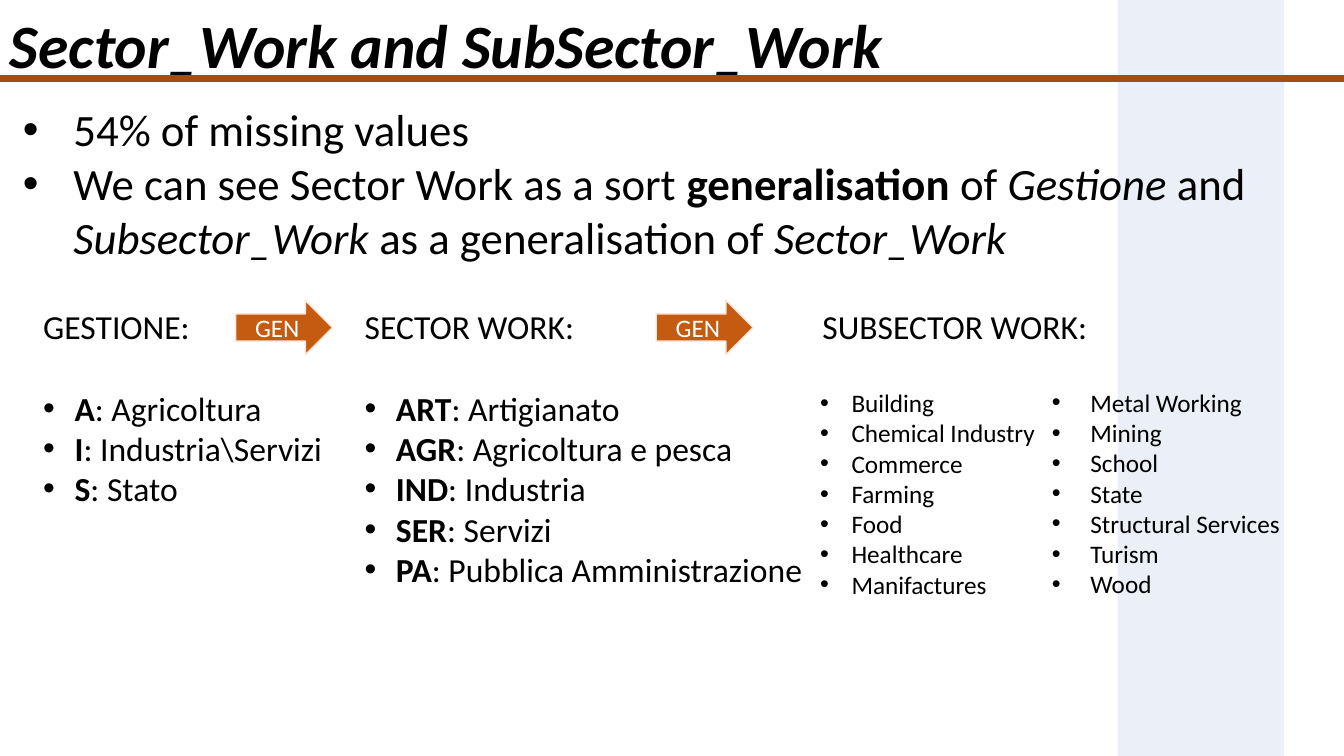
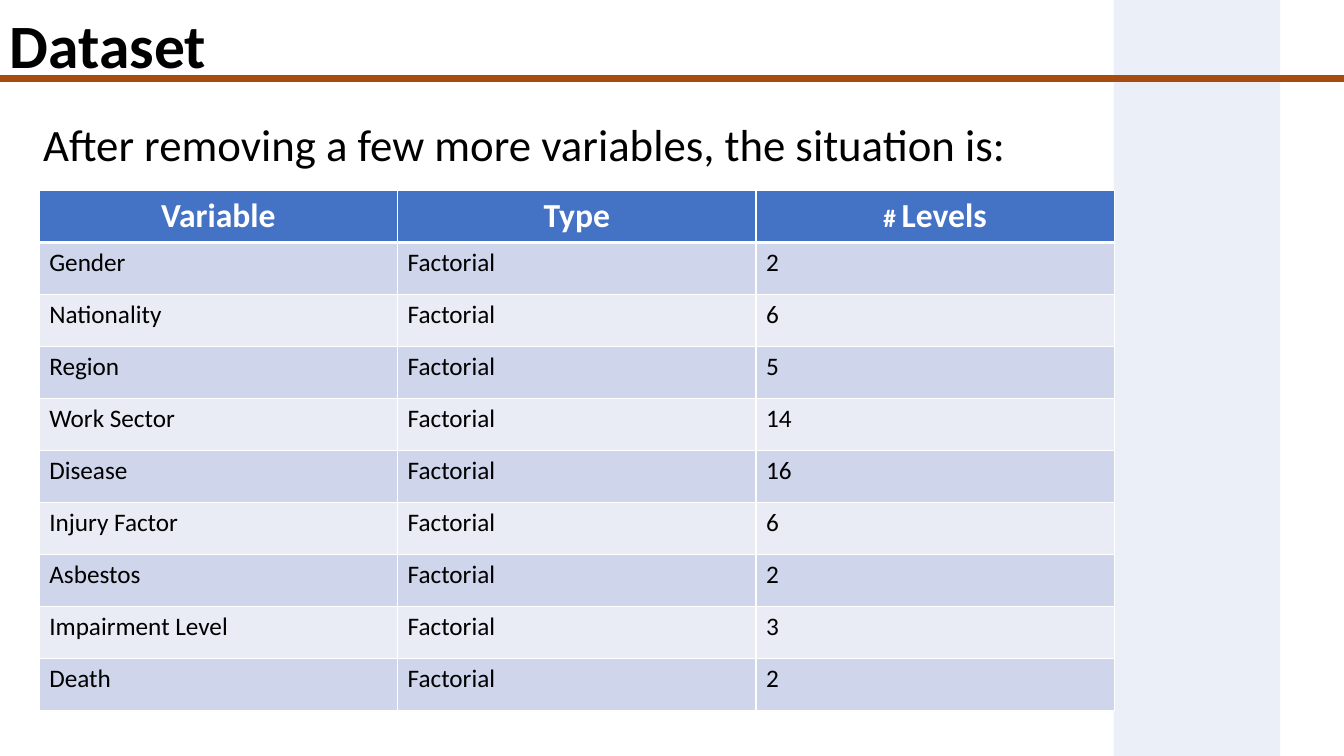
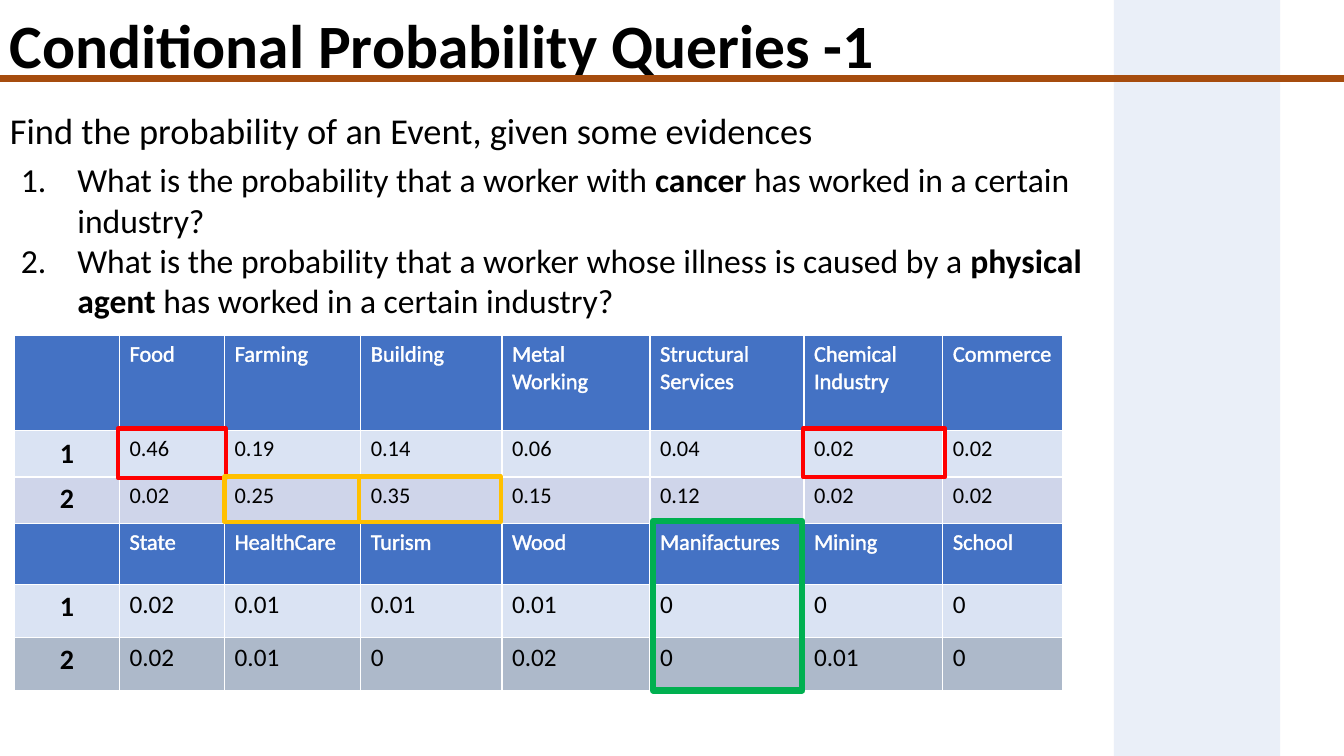
from dataclasses import dataclass
from lxml.etree import SubElement as Sub, Element
from pptx import Presentation
from pptx.dml.color import RGBColor as Rgb
from pptx.enum.shapes import MSO_CONNECTOR as Conn, MSO_SHAPE as Form
from pptx.enum.text import MSO_ANCHOR as Anchor, PP_ALIGN as Align
from pptx.oxml.ns import qn
from pptx.util import Cm, Pt


@dataclass(frozen=True)
class Theme:
    font: str = "Calibri"
    black: str = "000000"
    white: str = "FFFFFF"
    band: str = "B4C7E7"
    rule: str = "A64C0E"
    arrow: str = "C55A11"
    edge: str = "FBE5D6"
    head: str = "4472C4"
    dark: str = "CFD5EA"
    light: str = "E9EBF5"
    pale: str = "DAE3F3"
    slate: str = "ADB9CA"
    red: str = "FF0000"
    gold: str = "FFC000"
    green: str = "00B050"
    title: int = 44
    lead: int = 32
    intro: int = 26
    body: int = 24
    key: int = 20
    small: int = 18
    tiny: int = 16


T = Theme()
WIDE, HIGH = 33.87, 19.05


def color(code):
    return Rgb.from_string(code)


def outline(run):
    line = Element(qn("a:ln"), w=str(Pt(0.75)))
    fill = Sub(line, qn("a:solidFill"))
    Sub(fill, qn("a:srgbClr"), val=T.white)
    run._r.get_or_add_rPr().insert(0, line)


def write(par, parts, size, ink=T.black, bold=False, align=Align.LEFT):
    par.alignment = align
    for text, mark in [(parts, "")] if isinstance(parts, str) else parts:
        run = par.add_run()
        run.text = text
        font = run.font
        font.name = T.font
        font.size = Pt(T.small if "s" in mark else size)
        font.bold = bold or "b" in mark
        font.italic = "i" in mark
        font.color.rgb = color(ink)
        if "o" in mark:
            outline(run)


def bullet(par, indent, number=False):
    props = par._p.get_or_add_pPr()
    props.set("marL", str(Cm(indent)))
    props.set("indent", str(-Cm(indent)))
    if number:
        Sub(props, qn("a:buAutoNum"), type="arabicPeriod")
    else:
        Sub(props, qn("a:buFont"), typeface="Arial")
        Sub(props, qn("a:buChar"), char="•")


def add_box(slide, x, y, w, h):
    frame = slide.shapes.add_textbox(Cm(x), Cm(y), Cm(w), Cm(h)).text_frame
    frame.word_wrap = True
    return frame


def add_text(slide, area, text, size):
    frame = add_box(slide, *area)
    write(frame.paragraphs[0], text, size)
    return frame


def add_list(slide, area, items, size, indent, number=False, head=None, align=Align.LEFT):
    frame = add_box(slide, *area)
    par = frame.paragraphs[0]
    if head:
        write(par, head, T.body, align=align)
        par.space_after = Pt(29.3)
        par = frame.add_paragraph()
    for spot, item in enumerate(items):
        if spot:
            par = frame.add_paragraph()
        write(par, item, size)
        bullet(par, indent, number)


def add_shape(slide, form, area, fill=None, line=None, width=1):
    shape = slide.shapes.add_shape(form, *map(Cm, area))
    shape.shadow.inherit = False
    if fill:
        shape.fill.solid()
        shape.fill.fore_color.rgb = color(fill)
    else:
        shape.fill.background()
    if line:
        shape.line.color.rgb = color(line)
        shape.line.width = Pt(width)
    else:
        shape.line.fill.background()
    return shape


def add_arrow(slide, x):
    shape = add_shape(slide, Form.RIGHT_ARROW, (x, 7.57, 2.44, 1.37), T.arrow, T.edge)
    frame = shape.text_frame
    frame.vertical_anchor = Anchor.MIDDLE
    write(frame.paragraphs[0], "GEN", T.small, T.white, align=Align.CENTER)


def add_slide(deck, title, mark="b", left=28.07):
    slide = deck.slides.add_slide(deck.slide_layouts[6])
    band = add_shape(slide, Form.RECTANGLE, (left, 0, 4.19, HIGH), T.band)
    tint = band.fill._xPr.find(".//" + qn("a:srgbClr"))
    Sub(tint, qn("a:alpha"), val="27000")
    frame = add_text(slide, (0, 0, WIDE, 2.46), [(title, mark)], T.title)
    frame.vertical_anchor = Anchor.MIDDLE
    frame.paragraphs[0].line_spacing = 0.9
    rule = slide.shapes.add_connector(Conn.STRAIGHT, 0, Cm(1.98), Cm(WIDE), Cm(1.98))
    rule.line.color.rgb = color(T.rule)
    rule.line.width = Pt(4.5)
    Sub(rule._element.spPr, qn("a:effectLst"))
    return slide


def add_grid(slide, x, y, cols, rows):
    area = map(Cm, (x, y, sum(cols), sum(rows)))
    grid = slide.shapes.add_table(len(rows), len(cols), *area).table
    grid.first_row = grid.horz_banding = False
    for col, width in zip(grid.columns, cols):
        col.width = Cm(width)
    for row, height in zip(grid.rows, rows):
        row.height = Cm(height)
    return grid


def paint(cell, fill, top=1, low=1):
    props = cell._tc.get_or_add_tcPr()
    for side, width in zip("LRTB", (1, 1, top, low)):
        line = Sub(props, qn("a:ln" + side), w=str(Pt(width)))
        Sub(Sub(line, qn("a:solidFill")), qn("a:srgbClr"), val=T.white)
    cell.fill.solid()
    cell.fill.fore_color.rgb = color(fill)


def sectors(deck):
    slide = add_slide(deck, "Sector_Work and SubSector_Work", "bi", 28.17)
    points = [
        "54% of missing values",
        [("We can see Sector Work as a sort ", ""), ("generalisation", "b"),
         (" of ", ""), ("Gestione", "i"), (" and ", ""), ("Subsector_Work ", "i"),
         ("as a generalisation of ", ""), ("Sector_Work", "i")],
    ]
    add_list(slide, (0.33, 2.45, 31.5, 4.35), points, T.lead, 1.27)
    codes = [
        (0.84, 7.62, 6.15, "GESTIONE:",
         {"A": "Agricoltura", "I": "Industria\\Servizi", "S": "Stato"}),
        (8.94, 12.55, 8.2, "SECTOR WORK:",
         {"ART": "Artigianato", "AGR": "Agricoltura e pesca", "IND": "Industria",
          "SER": "Servizi", "PA": "Pubblica Amministrazione"}),
    ]
    for x, w, h, head, names in codes:
        items = [[(code, "b"), (": " + name, "")] for code, name in names.items()]
        add_list(slide, (x, 7.59, w, h), items, T.body, 0.79, head=head)
    first = ["Building", "Chemical Industry", "Commerce", "Farming", "Food",
             "Healthcare", "Manifactures"]
    second = ["Metal Working", "Mining", "School", "State", "Structural Services",
              "Turism", "Wood"]
    add_list(slide, (20.42, 7.59, 7.42, 8.46), first, T.small, 0.79,
             head="SUBSECTOR WORK: ", align=Align.RIGHT)
    add_list(slide, (26.26, 9.63, 7.42, 5.64), second, T.small, 0.97)
    for x in (5.94, 16.54):
        add_arrow(slide, x)


def dataset(deck):
    slide = add_slide(deck, "Dataset")
    add_text(slide, (0.84, 2.82, 27.08, 3),
             "After removing a few more variables, the situation is:", T.lead)
    levels = {"Gender": 2, "Nationality": 6, "Region": 5, "Work Sector": 14,
              "Disease": 16, "Injury Factor": 6, "Asbestos": 2,
              "Impairment Level": 3, "Death": 2}
    grid = add_grid(slide, 0.99, 4.8, [9.03] * 3, [1.31] * (len(levels) + 1))
    heads = ["Variable", "Type", [("# ", "s"), ("Levels", "")]]
    for col, head in enumerate(heads):
        cell = grid.cell(0, col)
        paint(cell, T.head, low=3)
        write(cell.text_frame.paragraphs[0], head, T.body, T.white, True, Align.CENTER)
    for row, (name, count) in enumerate(levels.items(), 1):
        for col, text in enumerate((name, "Factorial", str(count))):
            cell = grid.cell(row, col)
            paint(cell, T.dark if row % 2 else T.light, top=3 if row == 1 else 1)
            write(cell.text_frame.paragraphs[0], text, T.small)


def queries(deck):
    slide = add_slide(deck, "Conditional Probability Queries -1")
    add_text(slide, (0, 2.59, 33.07, 1.37),
             "Find the probability of an Event, given some evidences", T.intro)
    asks = [
        [("What is the probability that a worker with ", ""), ("cancer", "b"),
         (" has worked in a certain industry?", "")],
        [("What is the probability that a worker whose illness is caused by a ", ""),
         ("physical agent ", "b"), ("has worked in a certain industry?", "")],
    ]
    add_list(slide, (0.28, 3.89, 27.79, 5.46), asks, T.body, 1.42, number=True)
    rows = [
        (T.head, T.tiny, ["", "Food", "Farming", "Building", "Metal Working",
                          "Structural Services", "Chemical Industry", "Commerce"]),
        (T.pale, T.tiny, "1 0.46 0.19 0.14 0.06 0.04 0.02 0.02".split()),
        (T.dark, T.tiny, "2 0.02 0.25 0.35 0.15 0.12 0.02 0.02".split()),
        (T.head, T.tiny, ["", "State", "HealthCare", "Turism", "Wood",
                          "Manifactures", "Mining", "School"]),
        (T.pale, T.small, "1 0.02 0.01 0.01 0.01 0 0 0".split()),
        (T.slate, T.small, "2 0.02 0.01 0 0.02 0 0.01 0".split()),
    ]
    grid = add_grid(slide, 0.36, 8.45,
                    [2.65, 2.65, 3.43, 3.56, 3.73, 3.88, 3.5, 3.03],
                    [2.4, 1.17, 1.17, 1.54, 1.34, 1.34])
    for row, (fill, size, texts) in enumerate(rows):
        for col, text in enumerate(texts):
            cell = grid.cell(row, col)
            paint(cell, fill)
            par = cell.text_frame.paragraphs[0]
            if not text:
                continue
            if fill == T.head:
                write(par, [(text, "o")], size, T.white)
            elif col:
                write(par, text, size)
            else:
                write(par, text, T.key, bold=True, align=Align.CENTER)
    grid.cell(1, 0).vertical_anchor = Anchor.MIDDLE
    marks = [
        ((2.97, 10.8, 2.72, 1.24), T.red, 3),
        ((20.24, 10.8, 3.58, 1.22), T.red, 3),
        ((9.04, 12.01, 3.58, 1.14), T.gold, 3),
        ((5.66, 12.01, 3.38, 1.14), T.gold, 3),
        ((16.46, 13.13, 3.76, 4.27), T.green, 4.5),
    ]
    for area, ink, width in marks:
        add_shape(slide, Form.RECTANGLE, area, line=ink, width=width)


def main():
    deck = Presentation()
    deck.slide_width, deck.slide_height = Cm(WIDE), Cm(HIGH)
    sectors(deck)
    dataset(deck)
    queries(deck)
    deck.save("out.pptx")


if __name__ == "__main__":
    main()
